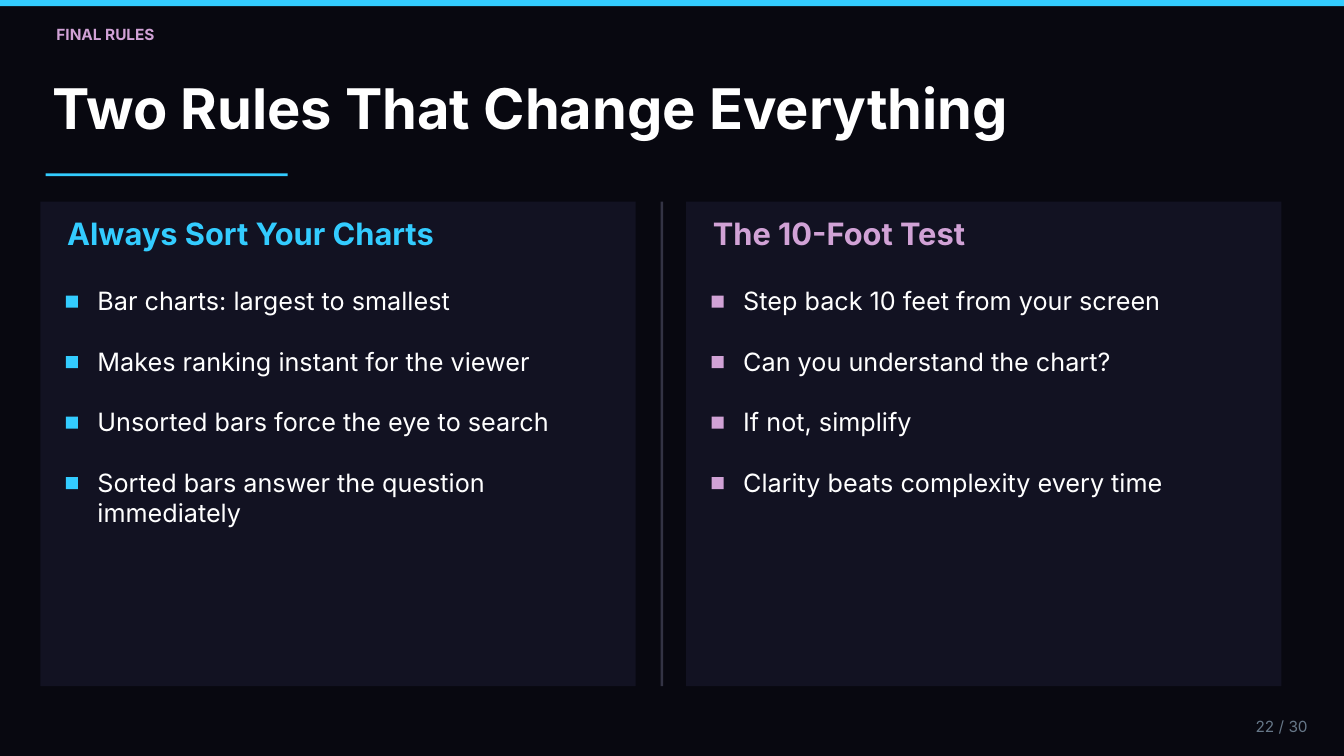
import pptx
import pptx.dml.color
import pptx.enum.shapes
import pptx.enum.text
import pptx.util

EMU_PER_PX = 9144
CYAN = "33CCFF"
MAUVE = "D1A2D6"
WHITE = "FFFFFF"
ALIGN = pptx.enum.text.PP_ALIGN


def px(value):
    return pptx.util.Emu(value * EMU_PER_PX)


def color(value):
    return pptx.dml.color.RGBColor.from_string(value)


class Deck:
    font_name = "Inter"
    background = "080810"
    panel_fill = "121222"
    leading = 1.2

    def __init__(self, width, height):
        self.presentation = pptx.Presentation()
        self.presentation.slide_width = px(width)
        self.presentation.slide_height = px(height)
        self.slide = None

    def add_slide(self):
        layout = self.presentation.slide_layouts.get_by_name("Title Only")
        self.slide = self.presentation.slides.add_slide(layout)
        fill = self.slide.background.fill
        fill.solid()
        fill.fore_color.rgb = color(self.background)

    def block(self, left, top, width, height, fill):
        shape = self.slide.shapes.add_shape(
            pptx.enum.shapes.MSO_SHAPE.RECTANGLE,
            px(left), px(top), px(width), px(height))
        shape.shadow.inherit = False
        shape.fill.solid()
        shape.fill.fore_color.rgb = color(fill)
        shape.line.fill.background()

    def set_text(self, shape, text, size, fill, bold, align):
        frame = shape.text_frame
        frame.text = text
        frame.word_wrap = True
        frame.auto_size = pptx.enum.text.MSO_AUTO_SIZE.NONE
        frame.vertical_anchor = pptx.enum.text.MSO_ANCHOR.TOP
        frame.margin_left = frame.margin_right = 0
        frame.margin_top = frame.margin_bottom = 0
        paragraph = frame.paragraphs[0]
        paragraph.alignment = align
        paragraph.line_spacing = pptx.util.Pt(size * self.leading)
        paragraph.font.name = self.font_name
        paragraph.font.size = pptx.util.Pt(size)
        paragraph.font.bold = bold
        paragraph.font.color.rgb = color(fill)

    def title(self, left, top, width, height, text):
        shape = self.slide.shapes.title
        shape.left, shape.top = px(left), px(top)
        shape.width, shape.height = px(width), px(height)
        self.set_text(shape, text, 60, WHITE, True, ALIGN.LEFT)

    def label(self, left, top, width, height, text, size, fill,
              bold=False, align=ALIGN.LEFT):
        shape = self.slide.shapes.add_textbox(
            px(left), px(top), px(width), px(height))
        self.set_text(shape, text, size, fill, bold, align)

    def rule_panel(self, left, heading, points, accent):
        self.block(left, 300, 886, 721, self.panel_fill)
        self.label(left + 40, 319, 806, 55, heading, 33, accent, bold=True)
        for index, point in enumerate(points):
            top = 425 + 90 * index
            self.block(left + 38, top + 15, 18, 18, accent)
            self.label(left + 85, top, 761, 45, point, 27, WHITE)


def main():
    deck = Deck(2000, 1125)
    deck.add_slide()
    deck.block(0, 0, 2000, 9, CYAN)
    deck.label(84, 37, 1175, 28, "FINAL RULES", 16.5, MAUVE, bold=True)
    deck.title(78, 110, 1781, 100, "Two Rules That Change Everything")
    deck.block(68, 258, 360, 4, CYAN)
    deck.rule_panel(60, "Always Sort Your Charts", [
        "Bar charts: largest to smallest",
        "Makes ranking instant for the viewer",
        "Unsorted bars force the eye to search",
        "Sorted bars answer the question immediately",
    ], CYAN)
    deck.block(983, 300, 4, 721, "333344")
    deck.rule_panel(1021, "The 10-Foot Test", [
        "Step back 10 feet from your screen",
        "Can you understand the chart?",
        "If not, simplify",
        "Clarity beats complexity every time",
    ], MAUVE)
    deck.label(1801, 1067, 145, 28, "22 / 30", 16.5, "667788",
               align=ALIGN.RIGHT)
    deck.presentation.save("out.pptx")


if __name__ == "__main__":
    main()
